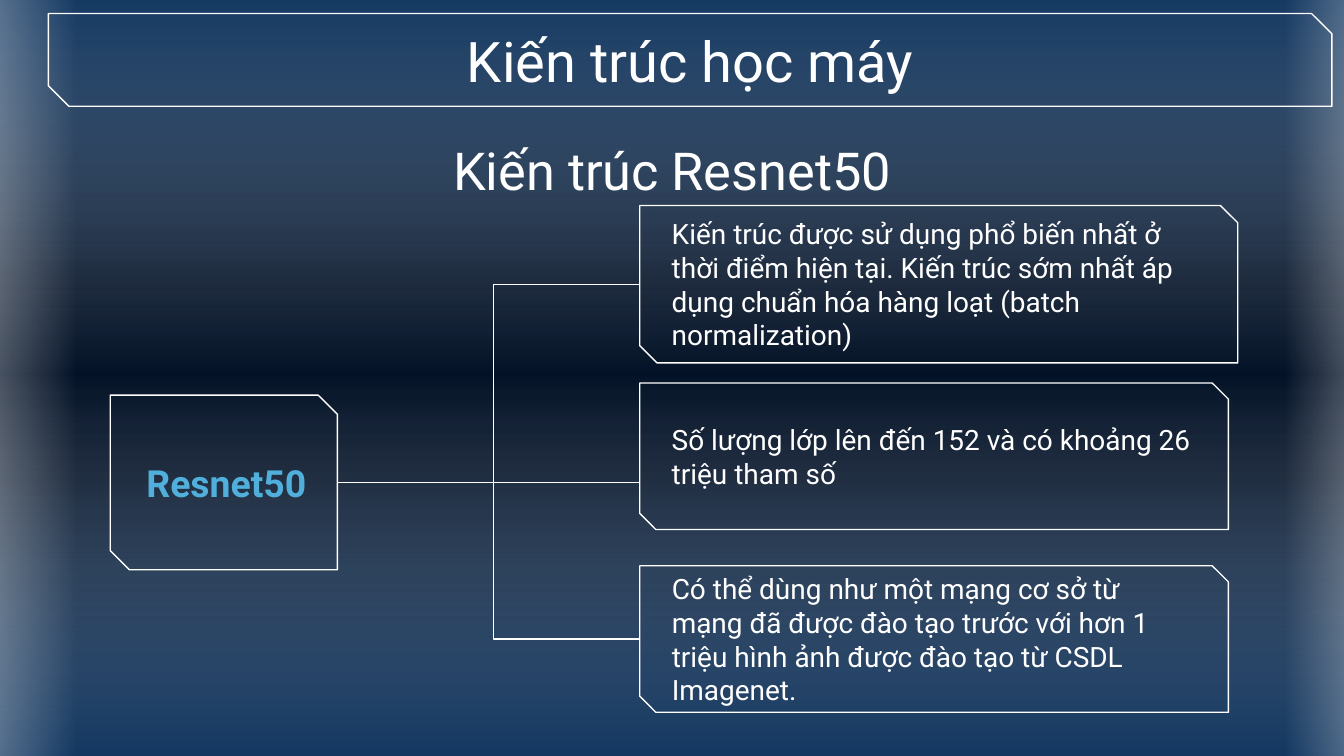
from dataclasses import dataclass

import pptx
import pptx.dml.color
import pptx.enum.shapes
import pptx.enum.text
import pptx.oxml
import pptx.oxml.ns
import pptx.util

Inches = pptx.util.Inches
Kind = pptx.enum.shapes.MSO_SHAPE
Link = pptx.enum.shapes.MSO_CONNECTOR
Align = pptx.enum.text.PP_ALIGN
qn = pptx.oxml.ns.qn


@dataclass(frozen=True)
class Theme:
    font: str = "Roboto"
    white: str = "FFFFFF"
    blue: str = "10355F"
    navy: str = "031126"
    sky: str = "51AFDB"
    head: int = 30
    sub: int = 28
    root: int = 20
    body: int = 15
    line: float = 0.75


@dataclass(frozen=True)
class Box:
    left: float
    top: float
    width: float
    height: float

    @property
    def mid(self) -> float:
        return self.top + self.height / 2

    def size(self) -> list:
        return [Inches(v) for v in (self.left, self.top, self.width, self.height)]


@dataclass(frozen=True)
class Card:
    box: Box
    wide: float
    text: str


@dataclass(frozen=True)
class Glow:
    box: Box
    stops: tuple
    angle: int


THEME = Theme()
WIDE = 10
HIGH = WIDE * 9 / 16
FRAME = Box(0.36, 0.1, 9.55, 0.69)
ROOT = Box(0.82, 2.94, 1.69, 1.3)
FORK = 3.67
EDGE = 4.76

SHINE = ((0, THEME.white, 47), (100, THEME.white, 0))
GLOWS = (
    Glow(Box(0, -0.13, 10.21, 5.81),
         ((0, THEME.blue, 59), (50, THEME.white, 0), (100, THEME.blue, 59)), 90),
    Glow(Box(-0.41, -0.09, 0.98, 5.8), SHINE, 0),
    Glow(Box(9.56, -0.13, 0.85, 5.8), SHINE, 180),
)
BACK = ((0, THEME.blue, 100), (37, THEME.navy, 100),
        (63, THEME.navy, 100), (100, THEME.blue, 100))
CARDS = (
    Card(Box(EDGE, 1.53, 4.45, 1.17), 4.1,
         "Kiến trúc được sử dụng phổ biến nhất ở thời điểm hiện tại. "
         "Kiến trúc sớm nhất áp dụng chuẩn hóa hàng loạt (batch normalization)"),
    Card(Box(EDGE, 2.85, 4.38, 1.09), 4.1,
         "Số lượng lớp lên đến 152 và có khoảng 26 triệu tham số"),
    Card(Box(EDGE, 4.21, 4.38, 1.09), 3.85,
         "Có thể dùng như một mạng cơ sở từ mạng đã được đào tạo trước với "
         "hơn 1 triệu hình ảnh được đào tạo từ CSDL Imagenet."),
)


def tint(code: str) -> pptx.dml.color.RGBColor:
    return pptx.dml.color.RGBColor.from_string(code)


def blend(fill, root, stops: tuple, angle: int) -> None:
    """Give a fill, found under root, a gradient of (place, colour, opacity)."""
    fill.gradient()
    grad = root.find(".//" + qn("a:gradFill"))
    grad.find(qn("a:lin")).set("ang", str(angle * 60000))
    rows = grad.find(qn("a:gsLst"))
    for old in list(rows):
        rows.remove(old)
    for place, code, alpha in stops:
        rows.append(pptx.oxml.parse_xml(
            f'<a:gs {pptx.oxml.ns.nsdecls("a")} pos="{place * 1000}">'
            f'<a:srgbClr val="{code}"><a:alpha val="{alpha * 1000}"/>'
            f'</a:srgbClr></a:gs>'))


def draw_glow(slide, glow: Glow) -> None:
    """Add a soft layer behind the title."""
    shape = slide.shapes.add_shape(Kind.RECTANGLE, *glow.box.size())
    shape.shadow.inherit = False
    shape.line.fill.background()
    blend(shape.fill, shape.element.spPr, glow.stops, glow.angle)
    slide.shapes.title.element.addprevious(shape.element)


def draw_frame(slide, box: Box, snip: float = 0.11) -> None:
    shape = slide.shapes.add_shape(Kind.SNIP_2_DIAG_RECTANGLE, *box.size())
    shape.adjustments[0] = 0
    shape.adjustments[1] = snip
    shape.shadow.inherit = False
    shape.fill.background()
    ink(shape.line)


def ink(line) -> None:
    line.color.rgb = tint(THEME.white)
    line.width = pptx.util.Pt(THEME.line)


def draw_link(slide, start: float, rise: float, drop: float) -> None:
    """Join the root level to a card, with a bend at the fork if needed."""
    bent = rise != drop
    kind = Link.ELBOW if bent else Link.STRAIGHT
    ends = [Inches(v) for v in (start, rise, EDGE, drop)]
    link = slide.shapes.add_connector(kind, *ends)
    ink(link.line)
    props = link.element.spPr
    props.append(props.makeelement(qn("a:effectLst"), {}))
    if bent:
        ratio = round((FORK - start) / (EDGE - start) * 100000)
        geom = props.find(qn("a:prstGeom"))
        geom.get_or_add_avLst().append(geom.makeelement(
            qn("a:gd"), {"name": "adj1", "fmla": f"val {ratio}"}))


def write(shape, box: Box, text: str, size: int, code: str = THEME.white,
          align=Align.CENTER, bold: bool = False) -> None:
    place = dict(zip(("left", "top", "width", "height"), box.size()))
    frame = shape.text_frame
    frame.text = text
    para = frame.paragraphs[0]
    pad = Inches(0.1)
    room = {"word_wrap": True, "auto_size": pptx.enum.text.MSO_AUTO_SIZE.NONE,
            "vertical_anchor": pptx.enum.text.MSO_ANCHOR.MIDDLE,
            "margin_left": pad, "margin_right": pad,
            "margin_top": pad, "margin_bottom": pad}
    flow = {"alignment": align, "space_before": pptx.util.Pt(0), "line_spacing": 1.0}
    face = {"name": THEME.font, "size": pptx.util.Pt(size), "bold": bold}
    for item, values in ((shape, place), (frame, room), (para, flow),
                         (para.runs[0].font, face)):
        for name, value in values.items():
            setattr(item, name, value)
    para.runs[0].font.color.rgb = tint(code)


def add_text(slide, box: Box, *args, **kwargs) -> None:
    write(slide.shapes.add_textbox(*box.size()), box, *args, **kwargs)


def main() -> None:
    deck = pptx.Presentation()
    deck.slide_width, deck.slide_height = Inches(WIDE), Inches(HIGH)
    slide = deck.slides.add_slide(deck.slide_layouts[0])
    blend(slide.background.fill, slide.element, BACK, 90)
    for glow in GLOWS:
        draw_glow(slide, glow)

    draw_frame(slide, FRAME, 0.22)
    write(slide.shapes.title, Box(0.36, 0.13, 9.55, 0.63),
          "Kiến trúc học máy", THEME.head)
    write(slide.placeholders[1], Box(2.88, 0.95, 4.24, 0.63),
          "Kiến trúc Resnet50", THEME.sub)

    draw_frame(slide, ROOT)
    add_text(slide, Box(0.74, 3.33, 1.89, 0.52), "Resnet50", THEME.root,
             THEME.sky, bold=True)
    high, _, low = CARDS
    for card in (low, high):
        draw_link(slide, ROOT.left + ROOT.width, ROOT.mid, card.box.mid)
    draw_link(slide, 3.61, ROOT.mid, ROOT.mid)
    for card in CARDS:
        draw_frame(slide, card.box)
        add_text(slide, Box(4.9, card.box.top, card.wide, card.box.height),
                 card.text, THEME.body, align=Align.LEFT)
    deck.save("out.pptx")


if __name__ == "__main__":
    main()
